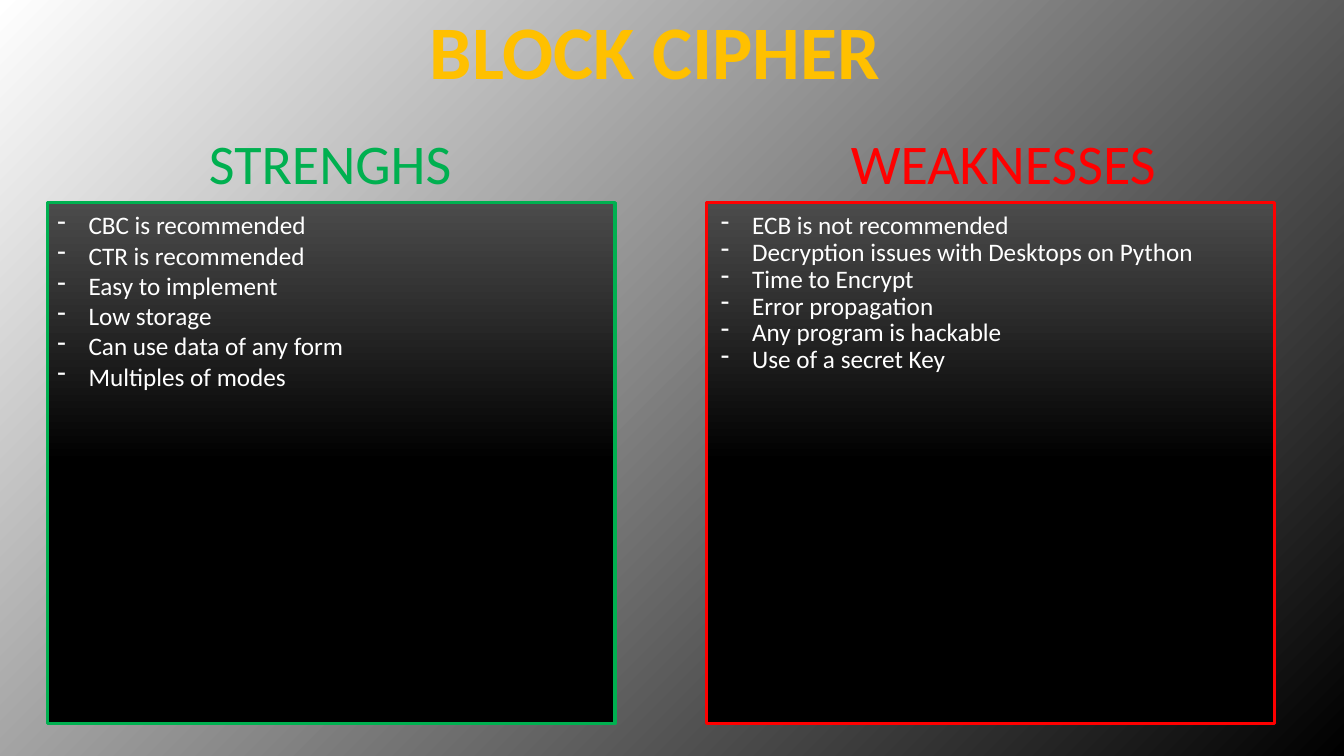
from lxml.etree import SubElement
from pptx import Presentation
from pptx.dml.color import RGBColor
from pptx.enum.shapes import MSO_SHAPE
from pptx.enum.text import MSO_ANCHOR, PP_ALIGN
from pptx.oxml.ns import qn
from pptx.util import Inches, Pt


def paint_gradient(fill, start, end, angle, end_position=1.0):
    """Blend start into end; angle is counter-clockwise in degrees."""
    fill.gradient()
    fill.gradient_angle = angle
    first, last = fill.gradient_stops
    first.color.rgb = RGBColor.from_string(start)
    last.color.rgb = RGBColor.from_string(end)
    last.position = end_position


def style_text(paragraph, size, color, alignment, bold=False):
    paragraph.alignment = alignment
    for run in paragraph.runs:
        run.font.name = "Calibri"
        run.font.size = Pt(size)
        run.font.bold = bold
        run.font.color.rgb = RGBColor.from_string(color)


presentation = Presentation()
presentation.slide_width = Inches(13.33)
presentation.slide_height = Inches(7.5)
slide = presentation.slides.add_slide(presentation.slide_layouts[6])
paint_gradient(slide.background.fill, "FFFFFF", "000000", 315)

# Title and column headings: text, left, top, width, height, size, colour, bold
headings = [
    ("BLOCK CIPHER", 4.14, -0.01, 4.71, 1.92, 54, "FFC000", True),
    ("STRENGHS", 1.96, 1.23, 2.63, 0.77, 40, "00B050", False),
    ("WEAKNESSES", 8.32, 1.23, 3.26, 0.77, 40, "FF0000", False),
]
for text, left, top, width, height, size, color, bold in headings:
    heading = slide.shapes.add_textbox(
        Inches(left), Inches(top), Inches(width), Inches(height)).text_frame
    heading.word_wrap = False
    heading.text = text
    style_text(heading.paragraphs[0], size, color, PP_ALIGN.CENTER, bold)

# Panels: left, outline, left inset, top inset, line pitch in points, points listed
panels = [
    (0.47, "00B050", 0.1, 0.07, 21.6, [
        "CBC is recommended",
        "CTR is recommended",
        "Easy to implement",
        "Low storage",
        "Can use data of any form",
        "Multiples of modes",
    ]),
    (7.01, "FF0000", 0.14, 0.1, 19.2, [
        "ECB is not recommended",
        "Decryption issues with Desktops on Python",
        "Time to Encrypt",
        "Error propagation",
        "Any program is hackable",
        "Use of a secret Key",
    ]),
]
for left, outline, inset_left, inset_top, pitch, points in panels:
    panel = slide.shapes.add_shape(
        MSO_SHAPE.RECTANGLE, Inches(left), Inches(2.01), Inches(5.63), Inches(5.17))
    panel.shadow.inherit = False
    paint_gradient(panel.fill, "4B4B4B", "000000", 270, 0.5)
    panel.line.color.rgb = RGBColor.from_string(outline)
    panel.line.width = Pt(2.25)

    listing = panel.text_frame
    listing.word_wrap = True
    listing.vertical_anchor = MSO_ANCHOR.TOP
    listing.margin_left = Inches(inset_left)
    listing.margin_top = Inches(inset_top)
    listing.text = "\n".join(points)
    for point in listing.paragraphs:
        properties = point._p.get_or_add_pPr()
        properties.set("marL", str(Inches(0.31)))
        properties.set("indent", str(-Inches(0.31)))
        SubElement(properties, qn("a:buChar")).set("char", "-")
        point.line_spacing = Pt(pitch)
        style_text(point, 18, "FFFFFF", PP_ALIGN.LEFT)

presentation.save("out.pptx")
